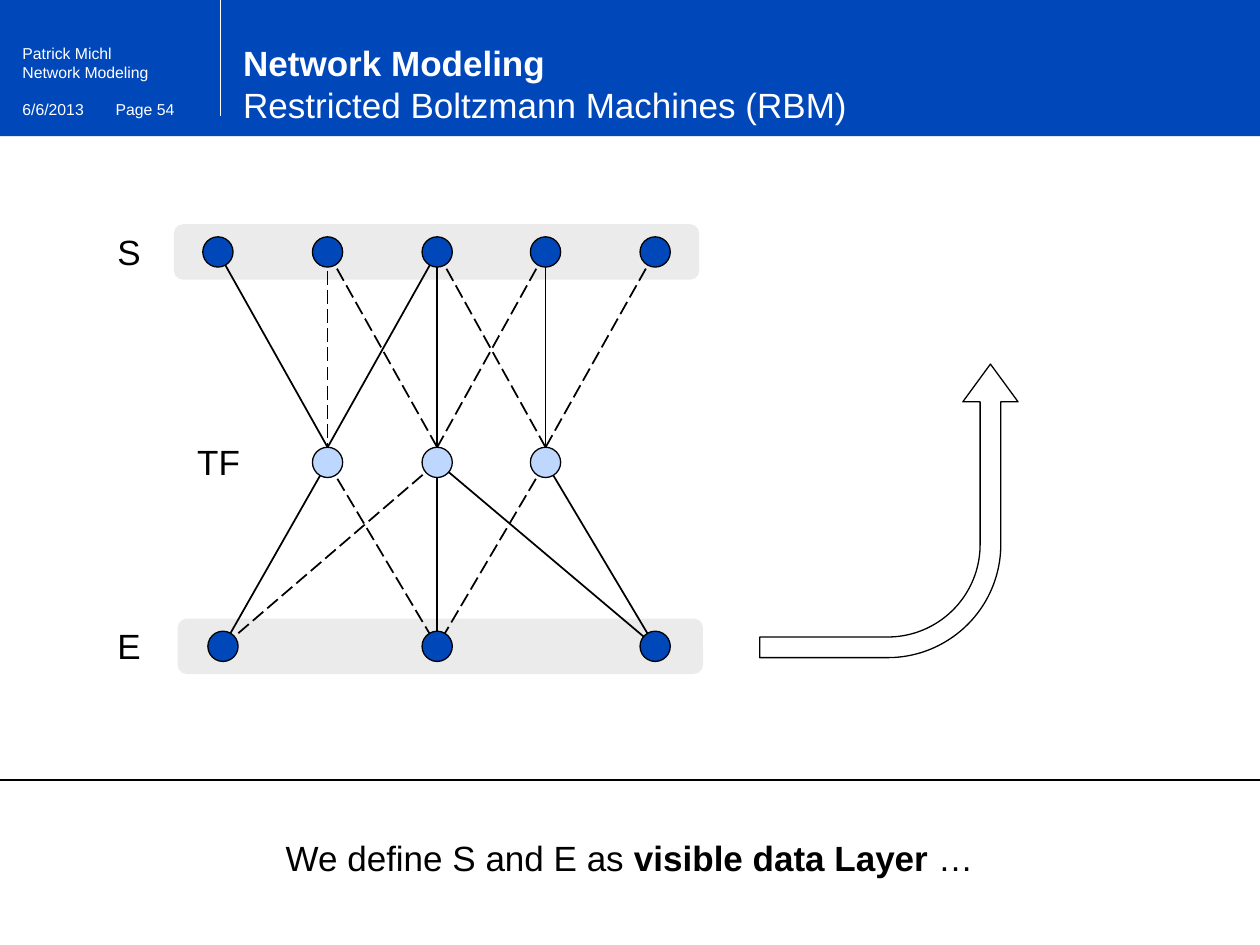
from lxml.etree import SubElement
from pptx import Presentation
from pptx.dml.color import RGBColor
from pptx.enum.dml import MSO_LINE_DASH_STYLE as DASH
from pptx.enum.shapes import MSO_CONNECTOR, MSO_SHAPE
from pptx.enum.text import MSO_ANCHOR, PP_ALIGN
from pptx.oxml.ns import qn
from pptx.util import Pt

PX = 9144  # 100 px to the inch
BLUE = RGBColor(0x00, 0x47, 0xB9)
PALE_BLUE = RGBColor(0xBE, 0xD7, 0xFF)
GRAY = RGBColor(0xD9, 0xD9, 0xD9)
WHITE = RGBColor(0xFF, 0xFF, 0xFF)
BLACK = RGBColor(0, 0, 0)

NODE = 24
COLUMNS = [173 + round(step * 86.75) for step in range(5)]
# Columns joined from one layer to the next: (upper, lower, dashed)
S_TO_TF = [(0, 0, False), (1, 0, True), (2, 0, False), (1, 1, True), (2, 1, False),
           (3, 1, True), (2, 2, True), (3, 2, False), (4, 2, True)]
TF_TO_E = [(0, 0, False), (0, 1, True), (1, 0, True), (1, 1, False),
           (1, 2, False), (2, 1, True), (2, 2, False)]


def emu(*lengths):
    return [round(length * PX) for length in lengths]


def write(frame, *spans, size=20, color=BLACK, align=PP_ALIGN.LEFT, anchor=MSO_ANCHOR.TOP):
    """Fill a text frame with (text, bold) spans; a newline becomes a line break."""
    frame.word_wrap = True
    frame.vertical_anchor = anchor
    para = frame.paragraphs[0]
    para.alignment = align
    for text, bold in spans:
        span = para.add_run()
        span.text = text.rstrip("\n")
        span.font.name = "Arial"
        span.font.size = Pt(size)
        span.font.bold = bold
        span.font.color.rgb = color
        if text.endswith("\n"):
            para.add_line_break()


def add_text(page, box, *spans, **style):
    write(page.shapes.add_textbox(*emu(*box)).text_frame, *spans, **style)


def add_shape(page, kind, box, fill=None, line=None, alpha=None):
    shape = page.shapes.add_shape(kind, *emu(*box))
    shape.shadow.inherit = False
    if fill is None:
        shape.fill.background()
    else:
        shape.fill.solid()
        shape.fill.fore_color.rgb = fill
    if alpha is not None:
        color = shape._element.spPr.find(".//" + qn("a:srgbClr"))
        SubElement(color, qn("a:alpha"), val=str(alpha * 1000))
    if line is None:
        shape.line.fill.background()
    else:
        shape.line.color.rgb = line
        shape.line.width = Pt(0.75)
    return shape


def add_line(page, start, end, color=BLACK, width=1, dashed=False):
    line = page.shapes.add_connector(MSO_CONNECTOR.STRAIGHT, *emu(*start, *end))
    line.line.color.rgb = color
    line.line.width = Pt(width)
    if dashed:
        line.line.dash_style = DASH.LONG_DASH
    SubElement(line._element.spPr, qn("a:effectLst"))


def add_header(page, left, top, width, height):
    add_shape(page, MSO_SHAPE.RECTANGLE, (left, top, width, height), fill=BLUE)
    add_line(page, (left + 175, top + 92), (left + 175, top), color=WHITE, width=0.9)
    for x, y, w, text in [(82, 74, 101, "Page 54"), (8, 74, 92, "6/6/2013"),
                          (8, 30, 133, "Patrick Michl"), (8, 45, 133, "Network Modeling")]:
        add_text(page, (left + x, top + y, w, 25), (text, False), size=9, color=WHITE)
    title = page.shapes.title
    title.left, title.top, title.width, title.height = emu(left + 183, top + 28, 617, 77)
    write(title.text_frame, ("Network Modeling\n", True),
          ("Restricted Boltzmann Machines (RBM)", False),
          color=WHITE, anchor=MSO_ANCHOR.BOTTOM)
    page.shapes._spTree.append(title._element)  # in front of the header band


def add_network(page, left, top):
    """Draw the S, TF and E layers, with left and top at the corner of the S label."""
    s_y, tf_y, e_y = top + 22, top + 189, top + 335
    s_xs = [left - 75 + x for x in COLUMNS]
    tf_xs = s_xs[1:4]
    e_xs = [s_xs[0] + 4, s_xs[2], s_xs[4]]

    for x, y in [(left + 66, e_y), (left + 63, s_y)]:
        add_shape(page, MSO_SHAPE.ROUNDED_RECTANGLE, (x, y - 22, 417, 44),
                  fill=GRAY, alpha=50)
    for upper, lower, dashed in S_TO_TF:
        add_line(page, (s_xs[upper], s_y), (tf_xs[lower], tf_y - NODE // 2), dashed=dashed)
    for upper, lower, dashed in TF_TO_E:
        add_line(page, (tf_xs[upper], tf_y), (e_xs[lower], e_y), dashed=dashed)

    layers = [("S", left, s_y, s_xs, BLUE), ("TF", left + 71, tf_y, tf_xs, PALE_BLUE),
              ("E", left, e_y, e_xs, BLUE)]
    for name, label_x, y, xs, fill in layers:
        add_text(page, (label_x, y - 22, 55, 44), (name, False), align=PP_ALIGN.CENTER)
        for x in xs:
            add_shape(page, MSO_SHAPE.OVAL, (x - NODE // 2, y - NODE // 2, NODE, NODE),
                      fill=fill, line=BLACK)


def add_upward_arrow(page, left, top, width, height):
    """Draw an arrow bending from the lower left up to the top right."""
    # The preset is turned by a quarter, so its own box has the sides swapped.
    shift = (height - width) / 2
    arrow = add_shape(page, MSO_SHAPE.BENT_ARROW,
                      (left - shift, top + shift, height, width), line=BLACK)
    arrow.rotation = 270
    arrow._element.spPr.find(qn("a:xfrm")).set("flipV", "1")
    for index, value in enumerate([0.08, 0.107, 0.146, 0.438]):
        arrow.adjustments[index] = value


def add_statement(page, left, top, width):
    add_line(page, (left, top), (left + width, top), width=0.75)
    add_text(page, (left + 35, top + 40, width - 71, 44),
             ("We define S and E as ", False), ("visible data Layer ", True), ("…", False),
             align=PP_ALIGN.CENTER)


def main():
    deck = Presentation()
    deck.slide_width, deck.slide_height = emu(1000, 750)
    page = deck.slides.add_slide(deck.slide_layouts[5])
    add_shape(page, MSO_SHAPE.RECTANGLE, (0, 108, 1000, 642), fill=WHITE)
    add_header(page, 0, 0, 1000, 108)
    add_network(page, 75, 178)
    add_upward_arrow(page, 603, 289, 205, 233)
    add_statement(page, 0, 619, 1000)
    deck.save("out.pptx")


if __name__ == "__main__":
    main()
